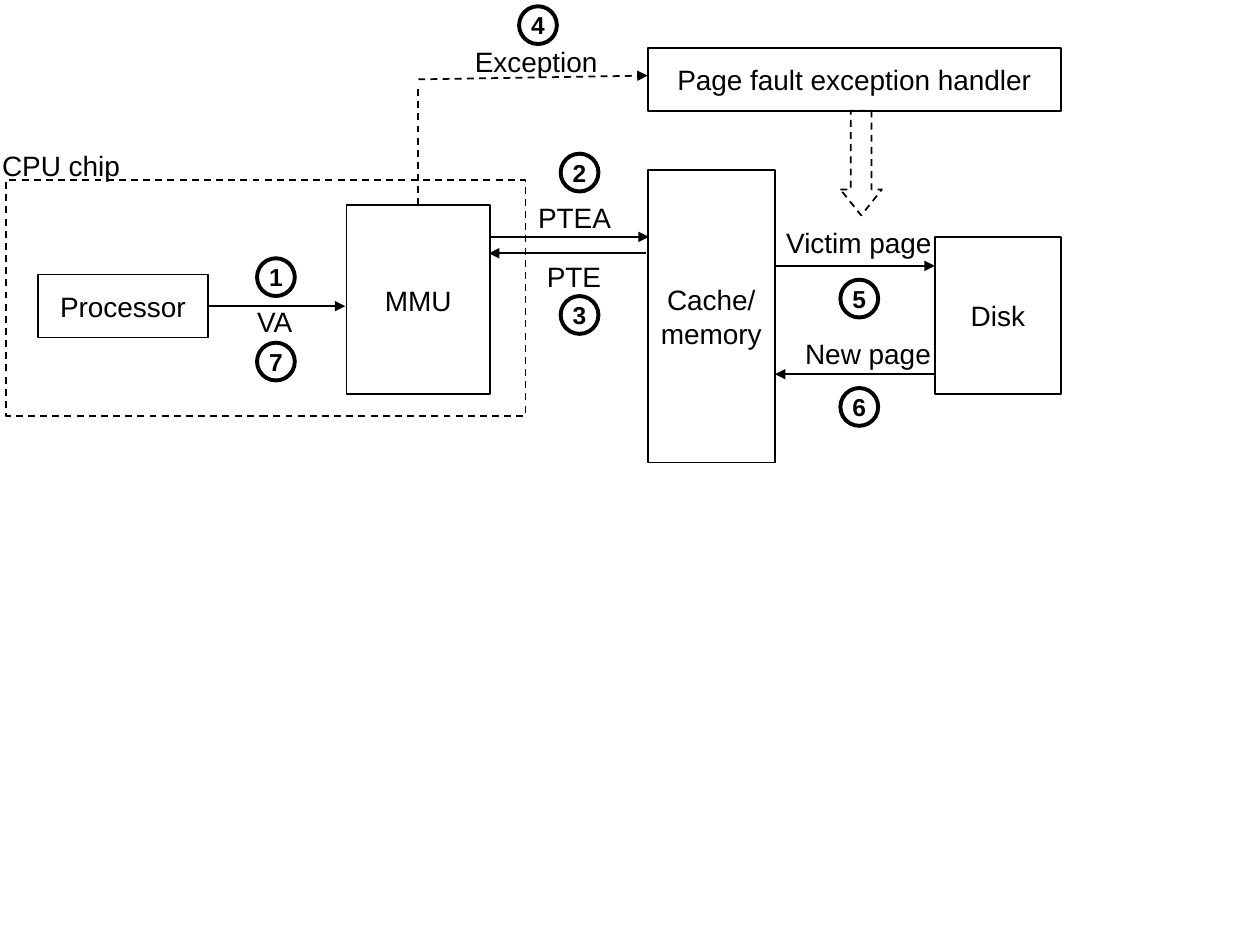
import pptx
import pptx.dml.color
import pptx.enum.dml
import pptx.enum.shapes
import pptx.enum.text
import pptx.oxml
import pptx.oxml.ns
import pptx.util

Inches = pptx.util.Inches
Pt = pptx.util.Pt
Shape = pptx.enum.shapes.MSO_SHAPE
Align = pptx.enum.text.PP_ALIGN
Anchor = pptx.enum.text.MSO_ANCHOR
Fit = pptx.enum.text.MSO_AUTO_SIZE

BLACK = pptx.dml.color.RGBColor(0, 0, 0)
FONT = "Arial"
STEP = 0.3  # diameter of a step number


def add_xml(parent, tag, attrs=""):
    ns = pptx.oxml.ns.nsdecls("a")
    parent.append(pptx.oxml.parse_xml(f"<a:{tag} {ns} {attrs}/>"))


def draw_line(line, width=1, dash=False):
    line.color.rgb = BLACK
    line.width = Pt(width)
    if dash:
        line.dash_style = pptx.enum.dml.MSO_LINE.DASH


def set_text(frame, text, size=16, bold=False, align=Align.CENTER, space=None):
    """Write one paragraph for each line of text."""
    frame.word_wrap = False
    for i, row in enumerate(text.split("\n")):
        para = frame.add_paragraph() if i else frame.paragraphs[0]
        para.alignment = align
        para.line_spacing = space
        run = para.add_run()
        run.text = row
        run.font.name = FONT
        run.font.size = Pt(size)
        run.font.bold = bold
        run.font.color.rgb = BLACK


def add_shape(slide, kind, left, top, width, height, line=1, dash=False):
    shape = slide.shapes.add_shape(
        kind, Inches(left), Inches(top), Inches(width), Inches(height))
    shape.shadow.inherit = False
    shape.fill.background()
    draw_line(shape.line, line, dash)
    return shape


def add_box(slide, text, left, top, width, height):
    box = add_shape(slide, Shape.RECTANGLE, left, top, width, height)
    box.text_frame.vertical_anchor = Anchor.MIDDLE
    set_text(box.text_frame, text)
    return box


def add_step(slide, num, left, top):
    """Add a circled step number."""
    ring = add_shape(slide, Shape.OVAL, left, top, STEP, STEP, 2.25)
    ring.text_frame.vertical_anchor = Anchor.MIDDLE
    set_text(ring.text_frame, str(num), 14, True)


def add_label(slide, text, left, top, width, tight=False):
    """Add a label; a tight one is left-aligned with small margins."""
    height = 0.28 if tight else 0.37
    label = slide.shapes.add_textbox(
        Inches(left), Inches(top), Inches(width), Inches(height))
    frame = label.text_frame
    frame.auto_size = Fit.SHAPE_TO_FIT_TEXT
    if tight:
        frame.margin_left = frame.margin_right = Inches(0.07)
        frame.margin_top = frame.margin_bottom = Inches(0.03)
        set_text(frame, text, align=Align.LEFT, space=0.85)
    else:
        frame.vertical_anchor = Anchor.MIDDLE
        set_text(frame, text)


def add_line(slide, x1, y1, x2, y2, dash=False, arrow=True):
    line = slide.shapes.add_connector(
        pptx.enum.shapes.MSO_CONNECTOR.STRAIGHT,
        Inches(x1), Inches(y1), Inches(x2), Inches(y2))
    draw_line(line.line, 1, dash)
    if arrow:
        add_xml(line.line._get_or_add_ln(), "tailEnd", 'type="triangle"')
    add_xml(line._element.spPr, "effectLst")
    return line


def main():
    deck = pptx.Presentation()
    deck.slide_width = Inches(10)
    deck.slide_height = Inches(7.5)
    slide = deck.slides.add_slide(deck.slide_layouts[6])

    # Units of the system
    add_shape(slide, Shape.RECTANGLE, 0.05, 1.43, 4.12, 1.87, dash=True)
    add_box(slide, "Page fault exception handler", 5.14, 0.38, 3.28, 0.5)
    cpu = add_box(slide, "Processor", 0.3, 2.18, 1.35, 0.5)
    mmu = add_box(slide, "MMU", 2.75, 1.63, 1.14, 1.5)
    add_box(slide, "Cache/\nmemory", 5.14, 1.35, 1.01, 2.32)
    add_box(slide, "Disk", 7.42, 1.88, 1, 1.25)

    # Exception path
    rise = add_line(slide, 3.32, 1.63, 3.32, 0.67, dash=True, arrow=False)
    rise.begin_connect(mmu, 0)
    add_line(slide, 3.32, 0.63, 5.14, 0.6, dash=True)
    block = add_shape(slide, Shape.DOWN_ARROW, 6.67, 0.88, 0.33, 0.83, dash=True)
    block.adjustments[0] = 0.5
    block.adjustments[1] = 0.625

    # Transfers between units
    fetch = add_line(slide, 1.65, 2.43, 2.74, 2.43)
    fetch.begin_connect(cpu, 3)
    for ends in (
        (3.88, 1.88, 5.15, 1.88),
        (5.13, 2.01, 3.88, 2.01),
        (6.15, 2.11, 7.42, 2.11),
        (7.42, 2.97, 6.15, 2.97),
    ):
        add_line(slide, *ends)

    for text, left, top, width, tight in (
        ("CPU chip", -0.12, 1.13, 1.21, False),
        ("Exception", 3.67, 0.3, 1.17, False),
        ("PTE", 4.24, 2.01, 0.63, False),
        ("VA", 1.97, 2.43, 0.44, True),
        ("PTEA", 4.2, 1.6, 0.72, True),
        ("Victim page", 6.17, 1.8, 1.3, True),
        ("New page", 6.32, 2.68, 1.14, True),
    ):
        add_label(slide, text, left, top, width, tight)

    steps = ((2.04, 2.05), (4.45, 1.22), (4.45, 2.35), (4.12, 0.05),
             (6.67, 2.22), (6.67, 3.08), (2.04, 2.72))
    for num, (left, top) in enumerate(steps, 1):
        add_step(slide, num, left, top)

    deck.save("out.pptx")


if __name__ == "__main__":
    main()
